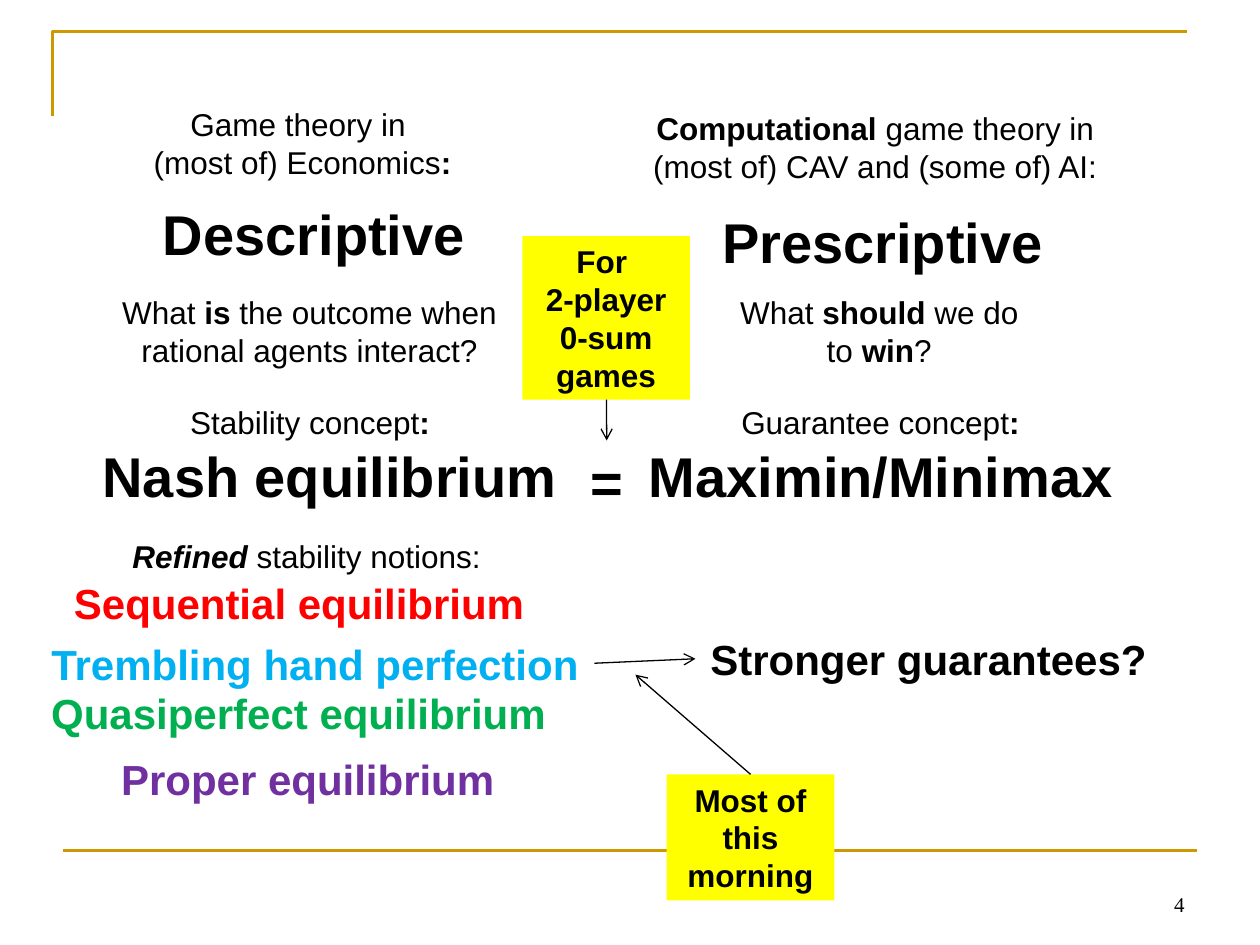
from dataclasses import dataclass
from lxml import etree
from pptx import Presentation
from pptx.dml.color import RGBColor
from pptx.enum.shapes import MSO_CONNECTOR, MSO_SHAPE
from pptx.enum.text import MSO_ANCHOR, MSO_AUTO_SIZE, PP_ALIGN
from pptx.oxml.ns import qn
from pptx.util import Cm, Pt

RECT = MSO_SHAPE.RECTANGLE
LINE = MSO_CONNECTOR.STRAIGHT
TOP, BOTTOM = MSO_ANCHOR.TOP, MSO_ANCHOR.BOTTOM
GROW, FIXED = MSO_AUTO_SIZE.SHAPE_TO_FIT_TEXT, MSO_AUTO_SIZE.NONE
CENTER, RIGHT = PP_ALIGN.CENTER, PP_ALIGN.RIGHT


@dataclass(frozen=True)
class Theme:
    font: str = "Arial"
    serif: str = "Times New Roman"
    ink: str = "000000"
    gold: str = "CC9900"
    note: str = "FFFF00"
    red: str = "FF0000"
    blue: str = "00B0F0"
    green: str = "00B050"
    purple: str = "7030A0"
    tiny: int = 12
    body: int = 18
    term: int = 24
    head: int = 32


THEME = Theme()
HIGH = {THEME.tiny: 1.27, THEME.body: 1.02, THEME.term: 1.27, THEME.head: 1.63}


def rgb(code):
    return RGBColor.from_string(code)


def write(frame, text, size, color=THEME.ink, font=THEME.font,
          align=CENTER, slant=False):
    """Fill a frame line by line; words between asterisks are bold."""
    for num, line in enumerate(text.split("\n")):
        para = frame.paragraphs[0] if num == 0 else frame.add_paragraph()
        para.alignment = align
        for part, words in enumerate(line.split("*")):
            if not words:
                continue
            run = para.add_run()
            run.text = words
            face = run.font
            face.name, face.size = font, Pt(size)
            face.bold = part % 2 == 1
            face.italic = slant and face.bold
            face.color.rgb = rgb(color)


def label(slide, x, y, wide, text, size=THEME.body, rows=1, wrap=False, **look):
    high = HIGH[size] if rows == 1 else 1.78
    box = slide.shapes.add_textbox(Cm(x), Cm(y), Cm(wide), Cm(high))
    frame = box.text_frame
    frame.word_wrap, frame.auto_size = wrap, GROW
    write(frame, text, size, **look)
    return box


def note(slide, x, y, high, text):
    box = slide.shapes.add_shape(RECT, Cm(x), Cm(y), Cm(3.38), Cm(high))
    box.shadow.inherit = False
    box.fill.solid()
    box.fill.fore_color.rgb = rgb(THEME.note)
    box.line.fill.background()
    frame = box.text_frame
    frame.word_wrap, frame.auto_size = True, GROW
    frame.vertical_anchor = TOP
    write(frame, text, THEME.body)
    return box


def rule(slide, x1, y1, x2, y2, color=THEME.ink, width=0.75):
    line = slide.shapes.add_connector(LINE, Cm(x1), Cm(y1), Cm(x2), Cm(y2))
    line.line.color.rgb = rgb(color)
    line.line.width = Pt(width)
    etree.SubElement(line._element.spPr, qn("a:effectLst"))
    return line


def arrow(slide, *ends):
    line = rule(slide, *ends)
    stroke = line._element.spPr.find(qn("a:ln"))
    etree.SubElement(stroke, qn("a:tailEnd"), type="arrow")
    return line


def border(slide):
    pen = slide.shapes.build_freeform(Cm(1.06), Cm(2.33))
    pen.add_line_segments(
        [(Cm(1.06), Cm(0.63)), (Cm(23.92), Cm(0.63))], close=False)
    edge = pen.convert_to_shape()
    edge.shadow.inherit = False
    edge.fill.background()
    edge.line.color.rgb = rgb(THEME.gold)
    edge.line.width = Pt(1.5)
    rule(slide, 1.27, 17.15, 24.13, 17.15, THEME.gold, 1.5)


def compare(slide):
    # Two views of game theory, left and right
    label(slide, 2.67, 1.99, 6.68,
          "Game theory in\n (most of) Economics*:*", rows=2)
    label(slide, 12.88, 2.08, 9.53,
          "*Computational *game theory in\n(most of) CAV and (some of) AI:",
          rows=2)
    label(slide, 3.02, 3.89, 6.62, "*Descriptive*", THEME.head)
    label(slide, 14.3, 4.06, 6.99, "*Prescriptive*", THEME.head)
    label(slide, 2.11, 5.78, 8.26,
          "What *is* the outcome when rational agents interact?",
          rows=2, wrap=True)
    label(slide, 14.55, 5.78, 6.35, "What *should* we do to *win*?",
          rows=2, wrap=True)

    # Matching solution concepts
    label(slide, 1.81, 8.77, 9.68, "*Nash equilibrium*", THEME.head)
    label(slide, 12.83, 8.77, 9.86, "*Maximin/Minimax*", THEME.head)
    label(slide, 3.5, 8, 5.5, "Stability concept*:*")
    label(slide, 14.68, 8, 6.14, "Guarantee concept*:*")
    label(slide, 11.64, 8.89, 1.17, "*=*", THEME.head)


def refine(slide):
    label(slide, 2.33, 10.7, 7.7, "*Refined* stability notions:", slant=True)
    terms = [
        (1.24, 11.51, 9.58, "Sequential equilibrium", THEME.red),
        (0.76, 12.74, 11.18, "Trembling hand perfection", THEME.blue),
        (0.72, 13.74, 10.6, "Quasiperfect equilibrium", THEME.green),
        (2.18, 15.06, 8.05, "Proper equilibrium", THEME.purple),
        (14.07, 12.65, 9.3, "Stronger guarantees?", THEME.ink),
    ]
    for x, y, wide, text, color in terms:
        label(slide, x, y, wide, f"*{text}*", THEME.term, color=color)


def remark(slide):
    # The first arrow starts behind its note
    arrow(slide, 12.22, 7.34, 12.23, 8.88)
    arrow(slide, 11.98, 13.37, 14.02, 13.28)
    note(slide, 10.53, 4.76, 3.3, "*For *\n*2-player 0-sum games*")
    plan = note(slide, 13.44, 15.61, 2.54, "*Most of this morning*")
    arrow(slide, 15.13, 15.61, 12.81, 13.6).begin_connect(plan, 0)


def main():
    deck = Presentation()
    deck.slide_width, deck.slide_height = Cm(25.4), Cm(19.05)
    slide = deck.slides.add_slide(deck.slide_layouts[6])
    border(slide)
    compare(slide)
    refine(slide)
    remark(slide)

    # Page number
    page = label(slide, 18.21, 17.34, 5.92, "4", THEME.tiny, wrap=True,
                 font=THEME.serif, align=RIGHT)
    page.text_frame.auto_size = FIXED
    page.text_frame.vertical_anchor = BOTTOM
    deck.save("out.pptx")


if __name__ == "__main__":
    main()
